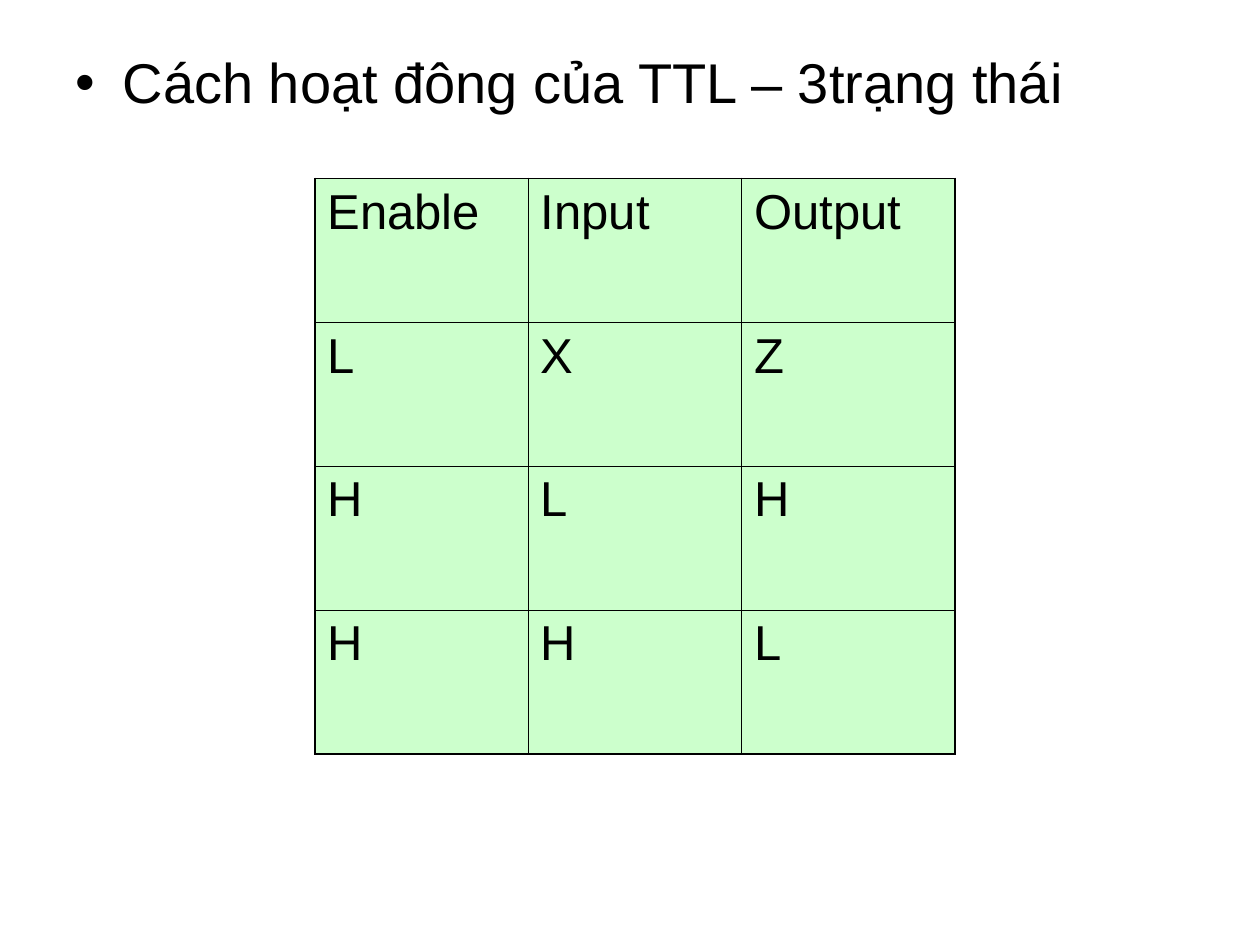
from dataclasses import dataclass

import pptx
import pptx.dml.color
import pptx.enum.text
import pptx.oxml
import pptx.oxml.ns
import pptx.util
from pptx.util import Cm


@dataclass(frozen=True)
class Theme:
    font: str = "Arial"
    text: str = "000000"
    cell_fill: str = "CCFFCC"
    bullet_size: int = 32
    table_size: int = 28
    outer_border: float = 1.08
    inner_border: float = 0.45


THEME = Theme()

TRUTH_TABLE = [
    ["Enable", "Input", "Output"],
    ["L", "X", "Z"],
    ["H", "L", "H"],
    ["H", "H", "L"],
]


def format_paragraph(paragraph, size):
    paragraph.space_before = pptx.util.Pt(0)
    paragraph.font.name = THEME.font
    paragraph.font.size = pptx.util.Pt(size)
    paragraph.font.color.rgb = pptx.dml.color.RGBColor.from_string(THEME.text)


def add_bullet(paragraph, indent):
    """Give the paragraph a round bullet with a hanging indent."""
    properties = paragraph._p.get_or_add_pPr()
    properties.set("marL", str(indent))
    properties.set("indent", str(-indent))
    namespace = pptx.oxml.ns.nsdecls("a")
    for element in (
        f'<a:buClr {namespace}><a:srgbClr val="{THEME.text}"/></a:buClr>',
        f'<a:buFont {namespace} typeface="{THEME.font}"/>',
        f'<a:buChar {namespace} char="•"/>',
    ):
        properties.append(pptx.oxml.parse_xml(element))


def add_heading(slide, text):
    slide.shapes.title.element.getparent().remove(slide.shapes.title.element)
    body = slide.placeholders[1]
    body.left, body.top, body.width, body.height = Cm(1.27), Cm(0.84), Cm(22.86), Cm(16.18)
    body.text_frame.vertical_anchor = pptx.enum.text.MSO_ANCHOR.TOP
    body.text_frame.text = text
    paragraph = body.text_frame.paragraphs[0]
    add_bullet(paragraph, Cm(0.95))
    format_paragraph(paragraph, THEME.bullet_size)


def set_borders(cell, outer_sides):
    """Draw all four borders, with the heavier line on the outer sides."""
    properties = cell._tc.get_or_add_tcPr()
    for side in "LRTB":
        points = THEME.outer_border if side in outer_sides else THEME.inner_border
        properties.append(pptx.oxml.parse_xml(
            f'<a:ln{side} {pptx.oxml.ns.nsdecls("a")} w="{pptx.util.Pt(points)}">'
            f'<a:solidFill><a:srgbClr val="{THEME.text}"/></a:solidFill></a:ln{side}>'
        ))


def add_truth_table(slide, rows, left, top, column_width, row_height):
    row_count, column_count = len(rows), len(rows[0])
    table = slide.shapes.add_table(
        row_count, column_count, left, top,
        column_width * column_count, row_height * row_count,
    ).table
    for row_index, row in enumerate(rows):
        for column_index, text in enumerate(row):
            cell = table.cell(row_index, column_index)
            edges = {
                "L": column_index == 0,
                "R": column_index == column_count - 1,
                "T": row_index == 0,
                "B": row_index == row_count - 1,
            }
            set_borders(cell, [side for side, is_outer in edges.items() if is_outer])
            cell.fill.solid()
            cell.fill.fore_color.rgb = pptx.dml.color.RGBColor.from_string(THEME.cell_fill)
            cell.text = text
            format_paragraph(cell.text_frame.paragraphs[0], THEME.table_size)


def main():
    presentation = pptx.Presentation()
    presentation.slide_width, presentation.slide_height = Cm(25.4), Cm(19.05)
    slide = presentation.slides.add_slide(presentation.slide_layouts[1])
    add_heading(slide, "Cách hoạt đông của TTL – 3trạng thái")
    add_truth_table(slide, TRUTH_TABLE, Cm(6.35), Cm(3.6), Cm(4.3), Cm(2.9))
    presentation.save("out.pptx")


if __name__ == "__main__":
    main()
